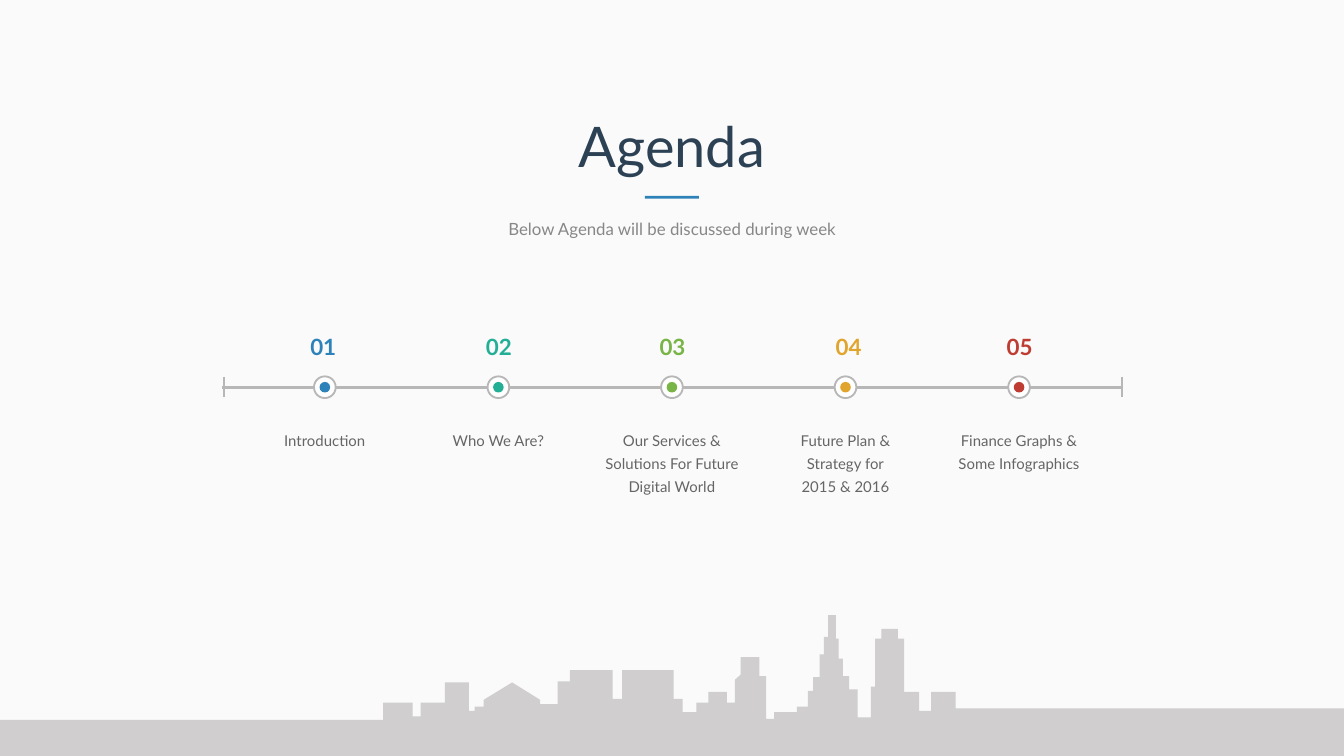
from lxml.etree import SubElement
from pptx import Presentation
from pptx.dml.color import RGBColor
from pptx.enum.shapes import MSO_CONNECTOR as Connector, MSO_SHAPE as Preset
from pptx.enum.text import PP_ALIGN as Align
from pptx.oxml.ns import qn
from pptx.util import Cm, Pt

PAPER = RGBColor(0xFA, 0xFA, 0xFA)
WHITE = RGBColor(0xFF, 0xFF, 0xFF)
NAVY = RGBColor(0x2D, 0x41, 0x55)
GRAY = RGBColor(0x87, 0x87, 0x87)
DARK_GRAY = RGBColor(0x65, 0x65, 0x65)
RAIL_GRAY = RGBColor(0xB7, 0xB7, 0xB7)
CITY_GRAY = RGBColor(0xD0, 0xCE, 0xCE)
BLUE = RGBColor(0x2D, 0x82, 0xB9)
TEAL = RGBColor(0x23, 0xAF, 0x96)
GREEN = RGBColor(0x78, 0xB4, 0x46)
AMBER = RGBColor(0xE1, 0xA5, 0x2D)
RED = RGBColor(0xBE, 0x3C, 0x32)

WIDTH, HEIGHT = 25.4, 14.29
MIDDLE = WIDTH / 2
RAIL_Y = 7.32
STOP_GAP = 3.28
RING, DOT = 0.41, 0.2

TOPICS = [
    ("Introduction", BLUE, -0.03),
    ("Who We Are?", TEAL, 0.01),
    ("Our Services & Solutions For Future Digital World", GREEN, 0.01),
    ("Future Plan & Strategy for\n2015 & 2016", AMBER, 0.06),
    ("Finance Graphs & Some Infographics", RED, 0.01),
]

CITY_LEFT, CITY_RIGHT, CITY_START = -0.43, 25.83, 13.61
WALL, SLOPE = "wall", "slope"
ROOFLINE = [
    (WALL, 7.24, 13.28), (WALL, 7.8, 13.54), (WALL, 7.95, 13.28),
    (WALL, 8.41, 12.9), (WALL, 8.86, 13.44), (WALL, 8.97, 13.36),
    (WALL, 9.14, 13.23), (SLOPE, 9.68, 12.9), (SLOPE, 10.21, 13.23),
    (WALL, 10.21, 13.31), (WALL, 10.54, 12.88), (WALL, 10.77, 12.67),
    (WALL, 11.58, 13.21), (WALL, 11.76, 12.67), (WALL, 12.73, 13.21),
    (WALL, 12.9, 13.46), (WALL, 13.16, 13.28), (WALL, 13.39, 13.08),
    (WALL, 13.74, 13.28), (WALL, 13.89, 12.85), (SLOPE, 14, 12.75),
    (WALL, 14, 12.42), (WALL, 14.35, 12.78), (WALL, 14.48, 13.59),
    (WALL, 14.63, 13.46), (WALL, 15.06, 13.36), (WALL, 15.27, 13.06),
    (WALL, 15.37, 12.8), (WALL, 15.49, 12.37), (WALL, 15.57, 12.04),
    (WALL, 15.65, 11.63), (WALL, 15.8, 12.07), (WALL, 15.85, 12.45),
    (WALL, 15.93, 12.78), (WALL, 16.05, 13.03), (WALL, 16.21, 13.56),
    (WALL, 16.46, 12.98), (WALL, 16.54, 12.07), (WALL, 16.66, 11.89),
    (WALL, 16.97, 12.07), (WALL, 17.09, 13.08), (WALL, 17.37, 13.44),
    (WALL, 17.6, 13.08), (WALL, 18.06, 13.39),
]


def write(frame, text, *, font, size, color, bold=False, spacing=None):
    frame.word_wrap = True
    frame.margin_left = frame.margin_right = 0
    frame.margin_top = frame.margin_bottom = 0
    frame.text = text
    for paragraph in frame.paragraphs:
        paragraph.alignment = Align.CENTER
        paragraph.line_spacing = spacing
        paragraph.font.name = font
        paragraph.font.size = Pt(size)
        paragraph.font.bold = bold
        paragraph.font.color.rgb = color


class Board:
    font = "Lato"

    def __init__(self, slide):
        self.slide = slide
        self.shapes = slide.shapes

    def background(self, color):
        fill = self.slide.background.fill
        fill.solid()
        fill.fore_color.rgb = color

    def paint(self, shape, fill, outline=None):
        shape.shadow.inherit = False
        shape.fill.solid()
        shape.fill.fore_color.rgb = fill
        if outline is None:
            shape.line.fill.background()
        else:
            shape.line.color.rgb = outline
            shape.line.width = Pt(1)

    def label(self, text, center, top, width, height, **style):
        box = self.shapes.add_textbox(
            Cm(center - width / 2), Cm(top), Cm(width), Cm(height))
        write(box.text_frame, text, font=self.font, **style)

    def preset(self, kind, center_x, center_y, width, height, fill, outline=None):
        shape = self.shapes.add_shape(
            kind, Cm(center_x - width / 2), Cm(center_y - height / 2),
            Cm(width), Cm(height))
        self.paint(shape, fill, outline)

    def line(self, x1, y1, x2, y2, color, weight):
        rule = self.shapes.add_connector(
            Connector.STRAIGHT, Cm(x1), Cm(y1), Cm(x2), Cm(y2))
        rule.line.color.rgb = color
        rule.line.width = Pt(weight)
        SubElement(rule._element.spPr, qn("a:effectLst"))

    def outline(self, points, fill):
        corners = [(Cm(x), Cm(y)) for x, y in points]
        builder = self.shapes.build_freeform(*corners[0])
        builder.add_line_segments(corners[1:], close=True)
        self.paint(builder.convert_to_shape(), fill)


def skyline_points():
    points = [(CITY_LEFT, HEIGHT), (CITY_LEFT, CITY_START)]
    for edge, x, y in ROOFLINE:
        if edge == WALL:
            points.append((x, points[-1][1]))
        points.append((x, y))
    return points + [(CITY_RIGHT, points[-1][1]), (CITY_RIGHT, HEIGHT)]


def main():
    deck = Presentation()
    deck.slide_width, deck.slide_height = Cm(WIDTH), Cm(HEIGHT)
    board = Board(deck.slides.add_slide(deck.slide_layouts[6]))
    board.background(PAPER)
    board.outline(skyline_points(), CITY_GRAY)

    board.label("Agenda", MIDDLE, 2.11, 21.6, 1.27, size=30, color=NAVY)
    board.label("Below Agenda will be discussed during week",
                MIDDLE, 4.14, 21.6, 0.38, size=9, color=GRAY)
    board.preset(Preset.RECTANGLE, MIDDLE, 3.73, 1.02, 0.05, BLUE)

    rail_left, rail_right = 4.2, 21.2
    board.line(rail_left, RAIL_Y, rail_right, RAIL_Y, RAIL_GRAY, 1.5)
    for end in (rail_left + 0.04, rail_right):
        board.line(end, RAIL_Y - 0.2, end, RAIL_Y + 0.18, RAIL_GRAY, 1)

    for index, (topic, color, nudge) in enumerate(TOPICS):
        stop = MIDDLE + (index - 2) * STOP_GAP
        board.preset(Preset.OVAL, stop, RAIL_Y, RING, RING, WHITE, RAIL_GRAY)
        board.preset(Preset.OVAL, stop, RAIL_Y, DOT, DOT, color)
        board.label(f"{index + 1:02}", stop + nudge, 6.3, 0.58, 0.51,
                    size=12, color=color, bold=True)
        board.label(topic, stop, 8.05, 2.54, 1.3,
                    size=8, color=DARK_GRAY, spacing=1.3)

    deck.save("out.pptx")


if __name__ == "__main__":
    main()
